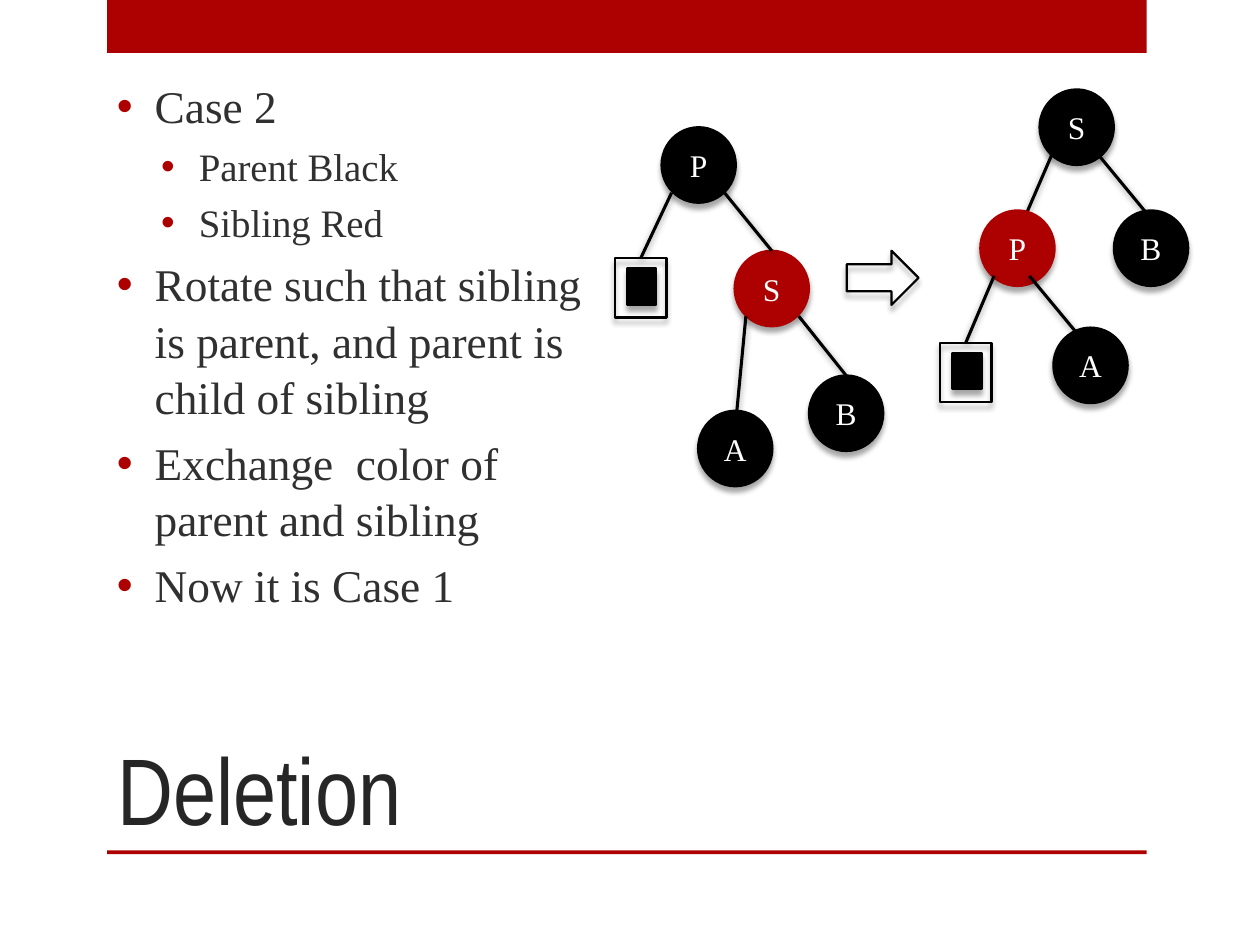
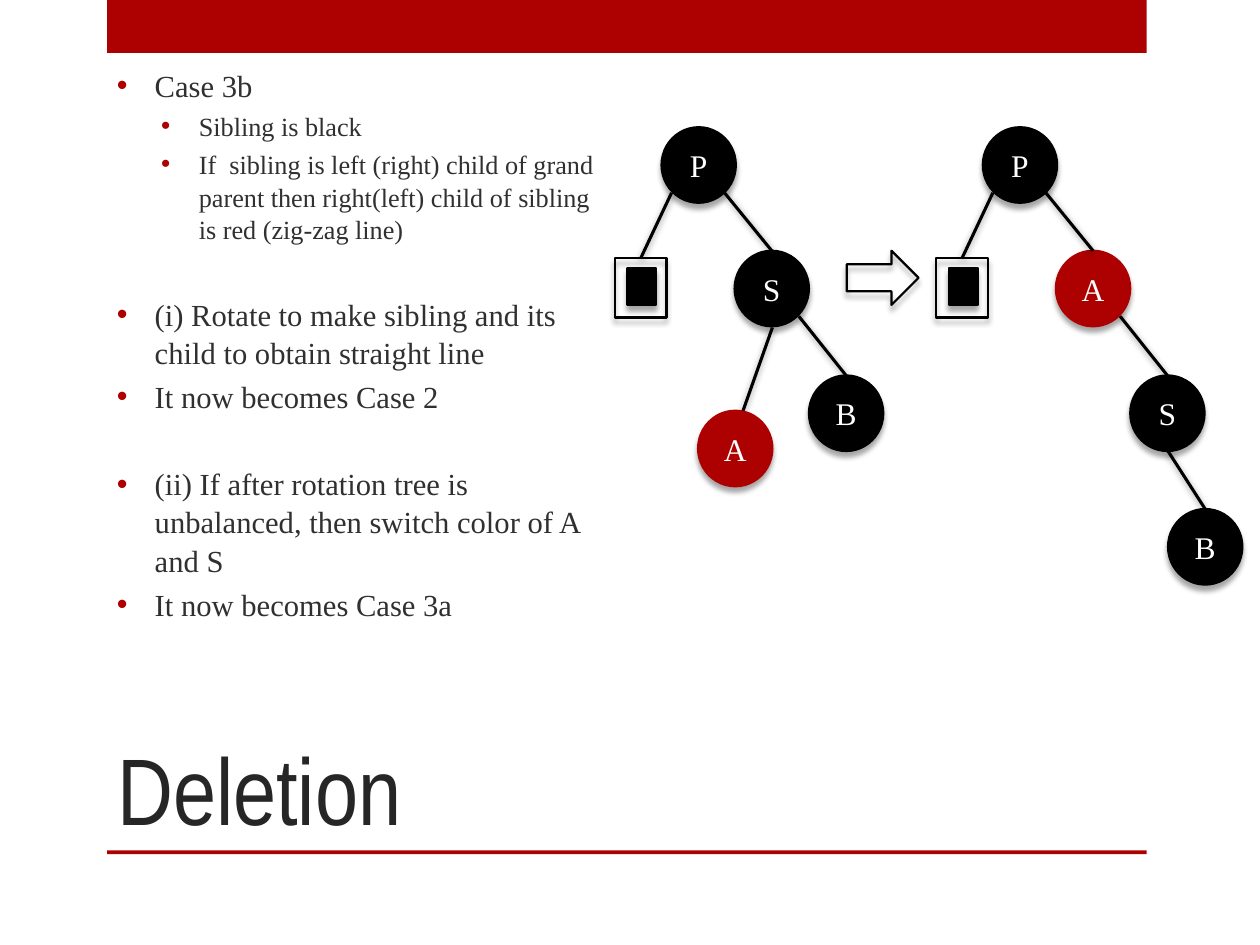
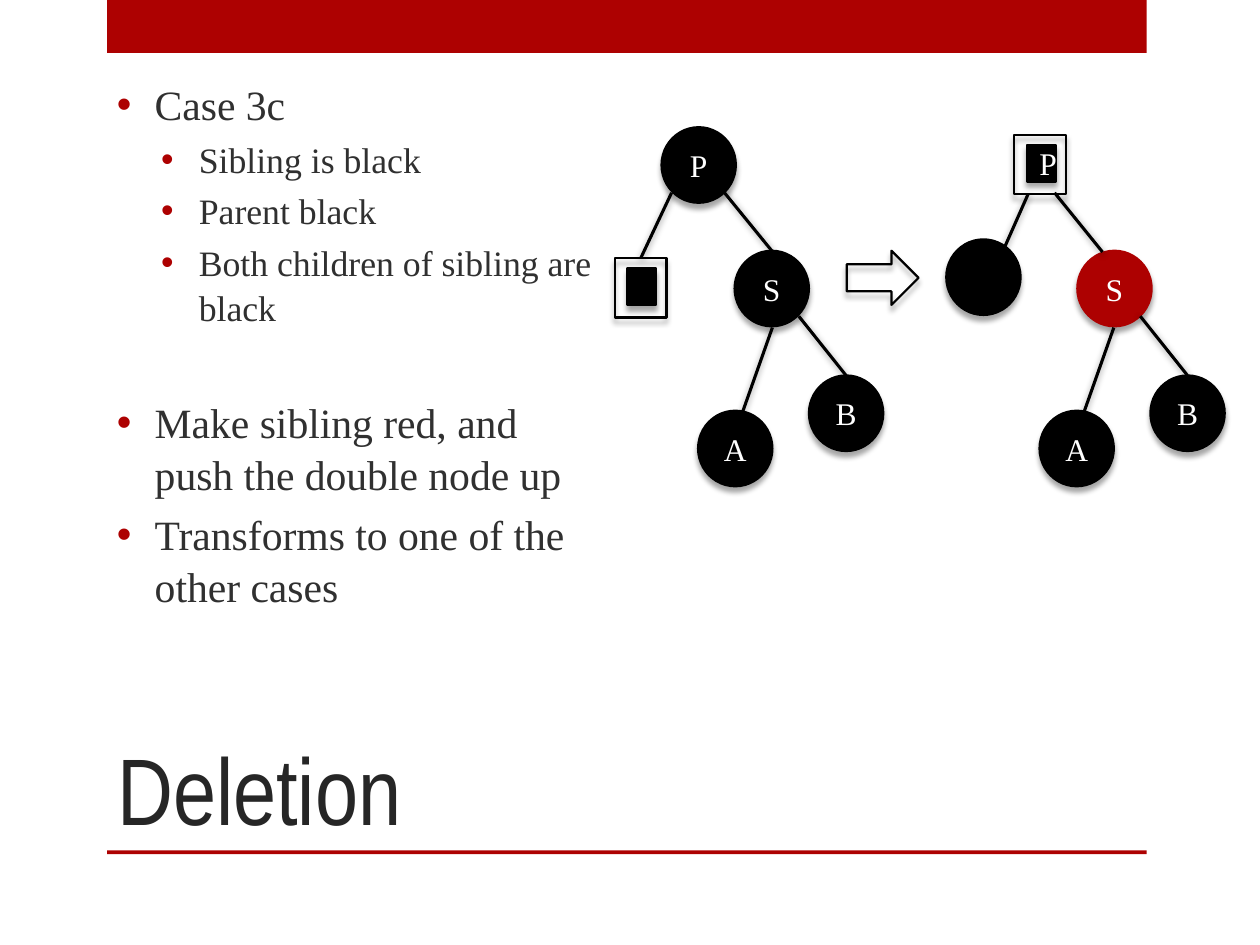
from lxml import etree
from pptx import Presentation
from pptx.dml.color import RGBColor
from pptx.enum.shapes import MSO_CONNECTOR, MSO_SHAPE
from pptx.enum.text import MSO_ANCHOR, MSO_AUTO_SIZE, PP_ALIGN
from pptx.oxml.ns import qn
from pptx.util import Pt

RECT, OVAL, ARROW = MSO_SHAPE.RECTANGLE, MSO_SHAPE.OVAL, MSO_SHAPE.RIGHT_ARROW
STRAIGHT = MSO_CONNECTOR.STRAIGHT
BOTTOM, MIDDLE = MSO_ANCHOR.BOTTOM, MSO_ANCHOR.MIDDLE
LEFT, CENTER = PP_ALIGN.LEFT, PP_ALIGN.CENTER
NO_FIT = MSO_AUTO_SIZE.NONE

PX = 9144  # 100 px to the inch
HUES = {"red": "AD0101", "black": "000000", "white": "FFFFFF",
        "title": "262626", "body": "303030"}
HEAD, BODY = "Arial Narrow", "Times New Roman"
INDENT = (30, 65)


def px(*sizes):
    return [round(size * PX) for size in sizes]


def hue(name):
    return RGBColor.from_string(HUES[name])


class Deck:
    def __init__(self):
        self.prs = Presentation()
        self.prs.slide_width, self.prs.slide_height = px(1000, 750)
        self.slide = None

    # Slide frame: band, rule and title
    def page(self, title):
        self.slide = self.prs.slides.add_slide(self.prs.slide_layouts[5])
        for y, high in ((0, 42), (675, 3)):
            self.shape(RECT, (85, y, 825, high), "red", line=None, shade=False)
        head = self.slide.shapes.title
        head.left, head.top, head.width, head.height = px(83, 500, 742, 175)
        frame = head.text_frame
        frame.text = title
        frame.auto_size = NO_FIT
        frame.vertical_anchor = BOTTOM
        self.style(frame.paragraphs[0], 54, HEAD, "title", LEFT)

    def style(self, para, size, font, color, align):
        para.alignment = align
        for run in para.runs:
            run.font.size = Pt(size)
            run.font.name = font
            run.font.color.rgb = hue(color)

    def shadow(self, item, alpha, blur, dist, angle):
        props = item._element.spPr
        fx = props.find(qn("a:effectLst"))
        if fx is None:
            fx = etree.SubElement(props, qn("a:effectLst"))
        drop = etree.SubElement(
            fx, qn("a:outerShdw"), blurRad=str(Pt(blur)), dist=str(Pt(dist)),
            dir=str(angle * 60000), rotWithShape="0")
        color = etree.SubElement(drop, qn("a:srgbClr"), val=HUES["black"])
        etree.SubElement(color, qn("a:alpha"), val=str(alpha * 1000))

    def shape(self, kind, place, fill, line="black", text="", shade=True,
              home=None):
        item = (home or self.slide).shapes.add_shape(kind, *px(*place))
        if fill:
            item.fill.solid()
            item.fill.fore_color.rgb = hue(fill)
        else:
            item.fill.background()
        if line:
            item.line.color.rgb = hue(line)
            item.line.width = Pt(1.25)
        else:
            item.line.fill.background()
        item.shadow.inherit = False
        if shade:
            self.shadow(item, 35, 3, 3, 90)
        if text:
            item.text_frame.text = text
            item.text_frame.vertical_anchor = MIDDLE
            self.style(item.text_frame.paragraphs[0], 18, BODY, "white", CENTER)
        return item

    # Bulleted text: rows of (level, text, gap above)
    def points(self, sizes, rows):
        box = self.slide.shapes.add_textbox(*px(83, 67, 400, 412))
        frame = box.text_frame
        frame.word_wrap = True
        frame.vertical_anchor = MIDDLE
        for at, (level, text, gap) in enumerate(rows):
            para = frame.add_paragraph() if at else frame.paragraphs[0]
            size = sizes[level]
            para.text = text
            para.level = level
            para.line_spacing = 1.04
            para.space_before = Pt(round(size * (1.6 if gap else 0.2), 1))
            self.style(para, size, BODY, "body", LEFT)
            self.bullet(para, INDENT[level])

    def bullet(self, para, indent):
        props = para._p.get_or_add_pPr()
        props.set("marL", str(indent * PX))
        props.set("indent", str(-30 * PX))
        color = etree.SubElement(props, qn("a:buClr"))
        etree.SubElement(color, qn("a:srgbClr"), val=HUES["red"])
        etree.SubElement(props, qn("a:buFont"), typeface="Arial")
        etree.SubElement(props, qn("a:buChar"), char="•")

    # Tree parts
    def node(self, name, x, y, color="black"):
        return self.shape(OVAL, (x, y, 59, 60), color, color, name)

    def box(self, x, y, name=""):
        group = self.slide.shapes.add_group_shape()
        self.shape(RECT, (x + 10, y + 8, 23, 29), "black", text=name, home=group)
        return self.shape(RECT, (x, y, 41, 47), None, home=group)

    def edge(self, start, end):
        """Draw a line to a point, or to the top of a shape."""
        joined = not isinstance(end, tuple)
        stop = start if joined else end
        line = self.slide.shapes.add_connector(STRAIGHT, *px(*start, *stop))
        if joined:
            line.end_connect(end, 0)
        line.line.color.rgb = hue("black")
        line.line.width = Pt(1.75)
        self.shadow(line, 40, 4, 1, 88)

    def arrow(self):
        self.shape(ARROW, (672, 199, 57, 43), None)

    # Tree pieces, placed from the left of the root
    def crown(self, x, name, color):
        low = self.node(name, x + 58, 199, color)
        self.node("P", x, 101)
        leaf = self.box(x - 37, 205)
        self.edge((x + 8, 153), leaf)
        self.edge((x + 50, 153), low)

    def right(self, x, name):
        low = self.node(name, x + 117, 298)
        self.edge((x + 109, 251), low)

    def left(self, x, color="black", start=(88, 260)):
        self.edge((x + start[0], start[1]), (x + 58, 345))
        self.node("A", x + 29, 326, color)


def rotate(deck):
    deck.page("Deletion")
    deck.points((25.9, 22.2), [
        (0, "Case 2", False),
        (1, "Parent Black", False),
        (1, "Sibling Red", False),
        (0, "Rotate such that sibling is parent, and parent is child of sibling",
         False),
        (0, "Exchange  color of parent and sibling", False),
        (0, "Now it is Case 1", False)])
    deck.crown(525, "S", "red")
    deck.right(525, "B")
    deck.left(525, start=(67, 251))
    deck.arrow()
    # Tree after the rotation
    deck.node("S", 825, 71)
    deck.edge((836, 120), (814, 171))
    deck.edge((871, 122), (909, 168))
    deck.node("B", 884, 167)
    deck.node("P", 778, 167, "red")
    deck.edge((817, 219), (856, 266))
    deck.node("A", 836, 260)
    deck.edge((789, 219), deck.box(746, 272))


def zigzag(deck):
    deck.page("Deletion")
    deck.points((17.5, 15), [
        (0, "Case 3b", False),
        (1, "Sibling is black", False),
        (1, "If  sibling is left (right) child of grand parent then "
            "right(left) child of sibling is red (zig-zag line)", False),
        (0, "(i) Rotate to make sibling and its child to obtain straight line",
         True),
        (0, "It now becomes Case 2", False),
        (0, "(ii) If after rotation tree is unbalanced, then switch color of "
            "A and S", True),
        (0, "It now becomes Case 3a", False)])
    deck.crown(525, "S", "black")
    deck.right(525, "B")
    deck.left(525, "red")
    deck.arrow()
    # Straight line after the rotation
    deck.crown(780, "A", "red")
    deck.right(780, "S")
    deck.edge((927, 358), deck.node("B", 927, 404))


def push(deck):
    deck.page("Deletion")
    deck.points((23.8, 20.4), [
        (0, "Case 3c", False),
        (1, "Sibling is black", False),
        (1, "Parent black", False),
        (1, "Both children of sibling are black", False),
        (0, "Make sibling red, and push the double node up", True),
        (0, "Transforms to one of the other cases", False)])
    deck.crown(525, "S", "black")
    deck.right(525, "B")
    deck.left(525)
    deck.arrow()
    # Double node moved up to the parent
    deck.node("S", 855, 199, "red")
    deck.node("", 751, 190)
    deck.right(796, "B")
    deck.left(796)
    deck.box(805, 107, "P")
    deck.edge((837, 153), (875, 200))
    deck.edge((816, 154), (793, 206))


def main():
    deck = Deck()
    for build in (rotate, zigzag, push):
        build(deck)
    deck.prs.save("out.pptx")


if __name__ == "__main__":
    main()
